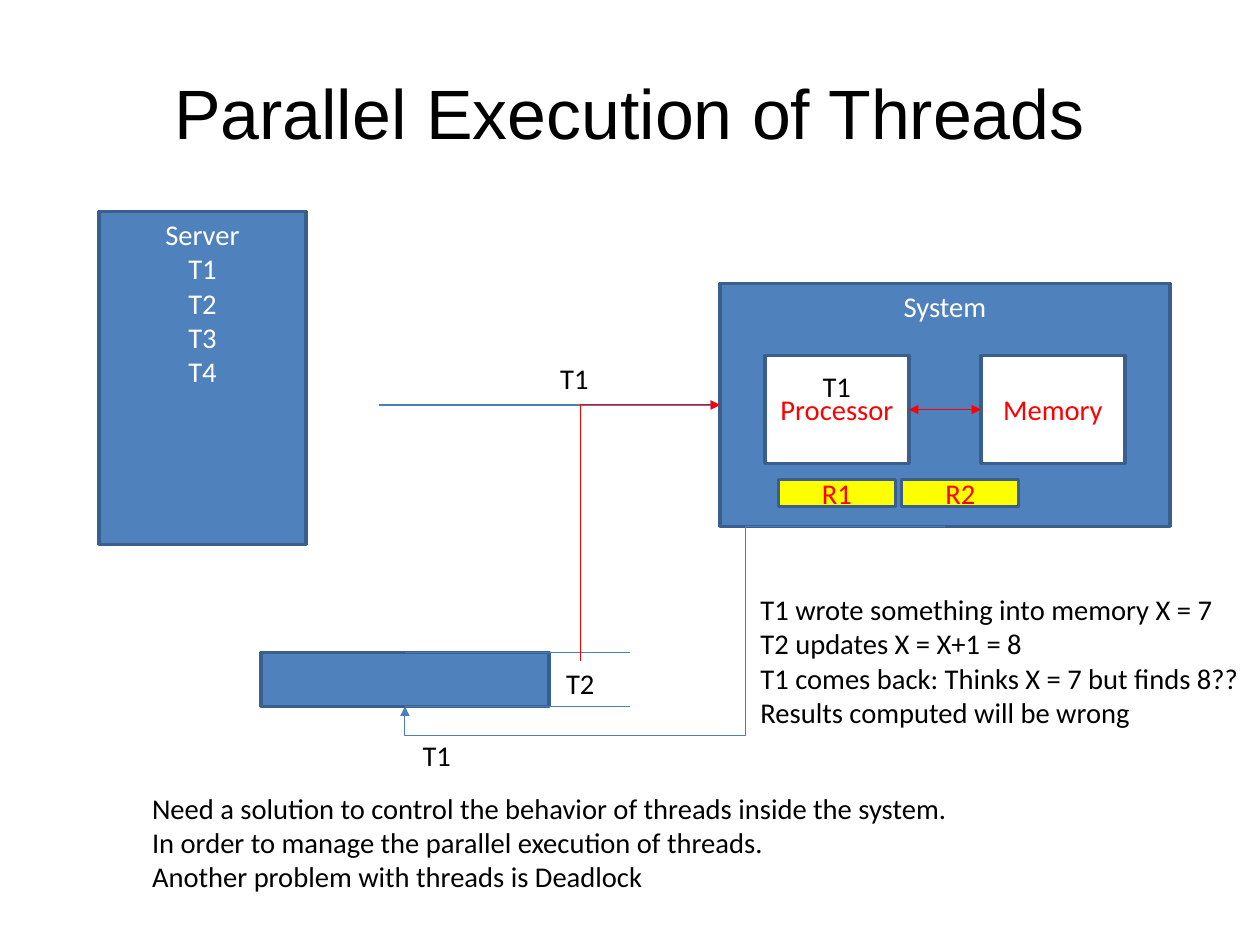
from lxml import etree
from pptx import Presentation
from pptx.dml.color import RGBColor
from pptx.enum.shapes import MSO_CONNECTOR, MSO_SHAPE
from pptx.enum.text import MSO_ANCHOR, PP_ALIGN
from pptx.oxml.ns import qn
from pptx.util import Mm, Pt

STRAIGHT, ELBOW = MSO_CONNECTOR.STRAIGHT, MSO_CONNECTOR.ELBOW
RECT = MSO_SHAPE.RECTANGLE
TOP, MIDDLE = MSO_ANCHOR.TOP, MSO_ANCHOR.MIDDLE
LEFT, CENTER = PP_ALIGN.LEFT, PP_ALIGN.CENTER

BLUE = RGBColor(0x4F, 0x81, 0xBD)
EDGE = RGBColor(0x3A, 0x5F, 0x8C)
LINE = RGBColor(0x4B, 0x7E, 0xBC)
RED = RGBColor(0xFF, 0, 0)
YELLOW = RGBColor(0xFF, 0xFF, 0)
WHITE = RGBColor(0xFF, 0xFF, 0xFF)
BLACK = RGBColor(0, 0, 0)

# The slide is a grid of 280 columns by 210 rows, one millimetre each.
COLS, ROWS = 280, 210
TITLE = "Parallel Execution of Threads"
TITLE_BOX = (14, 8.4, 252, 35)

# lines of text, (column, row, columns, rows), fill, text colour, anchor
BOXES = [
    (["Server", "T1", "T2", "T3", "T4"], (22, 47, 46, 74), BLUE, WHITE, TOP),
    (["System"], (160, 63, 100, 54), BLUE, WHITE, TOP),
    (["Processor"], (170, 79, 32, 24), WHITE, RED, MIDDLE),
    (["Memory"], (218, 79, 32, 24), WHITE, RED, MIDDLE),
    ([], (58, 145, 64, 12), BLUE, WHITE, MIDDLE),
    (["R1"], (173, 106.5, 26, 6), YELLOW, RED, MIDDLE),
    (["R2"], (200.4, 106.5, 26, 6), YELLOW, RED, MIDDLE),
]

# begin, end, colour, arrowheads
LINES = [
    ((84.3, 90), (160, 90), LINE, ["tailEnd"]),
    ((202, 91), (218, 91), RED, ["headEnd", "tailEnd"]),
    ((90, 145), (140, 145), LINE, []),
    ((90, 157), (140, 157), LINE, []),
]

LABEL_SIZE = (11.4, 10.2)
NOTES = [
    (["T1"], (122, 79, *LABEL_SIZE)),
    (["T1"], (180.3, 80.8, *LABEL_SIZE)),
    (["T1"], (91.4, 162.8, *LABEL_SIZE)),
    (["T2"], (123.3, 146.8, *LABEL_SIZE)),
    (["T1 wrote something into memory X = 7",
      "T2 updates X = X+1 = 8",
      "T1 comes back: Thinks X = 7 but finds 8??",
      "Results computed will be wrong"], (166.5, 130.3, 112.5, 33.3)),
    (["Need a solution to control the behavior of threads inside the system.",
      "In order to manage the parallel execution of threads.",
      "Another problem with threads is Deadlock"], (31.3, 174.5, 183.9, 25.7)),
]


def write(tf, lines, size=18, font="Calibri", color=BLACK, align=LEFT,
          anchor=TOP, wrap=True, spacing=None):
    tf.word_wrap = wrap
    tf.vertical_anchor = anchor
    for i, line in enumerate(lines):
        p = tf.paragraphs[0] if i == 0 else tf.add_paragraph()
        p.alignment = align
        p.line_spacing = spacing
        r = p.add_run()
        r.text = line
        r.font.size, r.font.name = Pt(size), font
        r.font.color.rgb = color


def add_box(slide, lines, box, fill, color, anchor):
    sp = slide.shapes.add_shape(RECT, *map(Mm, box))
    sp.shadow.inherit = False
    sp.fill.solid()
    sp.fill.fore_color.rgb = fill
    sp.line.color.rgb, sp.line.width = EDGE, Pt(2)
    write(sp.text_frame, lines, color=color, align=CENTER, anchor=anchor)


def add_line(slide, begin, end, color, heads, kind=STRAIGHT):
    cxn = slide.shapes.add_connector(kind, *map(Mm, begin + end))
    cxn.line.color.rgb, cxn.line.width = color, Pt(0.75)
    ln = cxn.element.spPr.find(qn("a:ln"))
    for head in heads:
        etree.SubElement(ln, qn(f"a:{head}"), type="triangle")
    etree.SubElement(cxn.element.spPr, qn("a:effectLst"))
    return cxn


def set_bend(cxn, preset, adjustments=()):
    geom = cxn.element.spPr.find(qn("a:prstGeom"))
    geom.set("prst", preset)
    guides = geom.find(qn("a:avLst"))
    if guides is None:
        guides = etree.SubElement(geom, qn("a:avLst"))
    for i, share in enumerate(adjustments, 1):
        etree.SubElement(guides, qn("a:gd"), name=f"adj{i}",
                         fmla=f"val {round(share * 100000)}")


def add_upright_bend(slide, begin, end, color):
    """Arrow that rises from begin, then turns right to end: a quarter turn of
    an elbow whose box has its width and height swapped about the centre."""
    mid_x, mid_y = ((a + b) / 2 for a, b in zip(begin, end))
    half_w, half_h = (abs(a - b) / 2 for a, b in zip(begin, end))
    cxn = add_line(slide, (mid_x + half_h, mid_y + half_w),
                   (mid_x - half_h, mid_y - half_w), color, ["tailEnd"], ELBOW)
    set_bend(cxn, "bentConnector2")
    cxn.element.spPr.find(qn("a:xfrm")).set("rot", str(90 * 60000))


def main():
    prs = Presentation()
    prs.slide_width, prs.slide_height = Mm(COLS), Mm(ROWS)
    slide = prs.slides.add_slide(prs.slide_layouts[5])

    title = slide.shapes.title
    title.left, title.top, title.width, title.height = map(Mm, TITLE_BOX)
    tf = title.text_frame
    tf.margin_left = tf.margin_right = tf.margin_top = tf.margin_bottom = 0
    write(tf, [TITLE], size=44, font="Arial", align=CENTER, anchor=MIDDLE,
          spacing=0.93)

    for box in BOXES:
        add_box(slide, *box)
    for line in LINES:
        add_line(slide, *line)

    back = add_line(slide, (210, 117), (90, 157), LINE, ["tailEnd"], ELBOW)
    set_bend(back, "bentConnector4", (0.37, 1.16))
    add_upright_bend(slide, (129, 146.8), (160, 90), RED)

    for lines, box in NOTES:
        tb = slide.shapes.add_textbox(*map(Mm, box))
        write(tb.text_frame, lines, wrap=False)

    prs.save("out.pptx")


if __name__ == "__main__":
    main()
